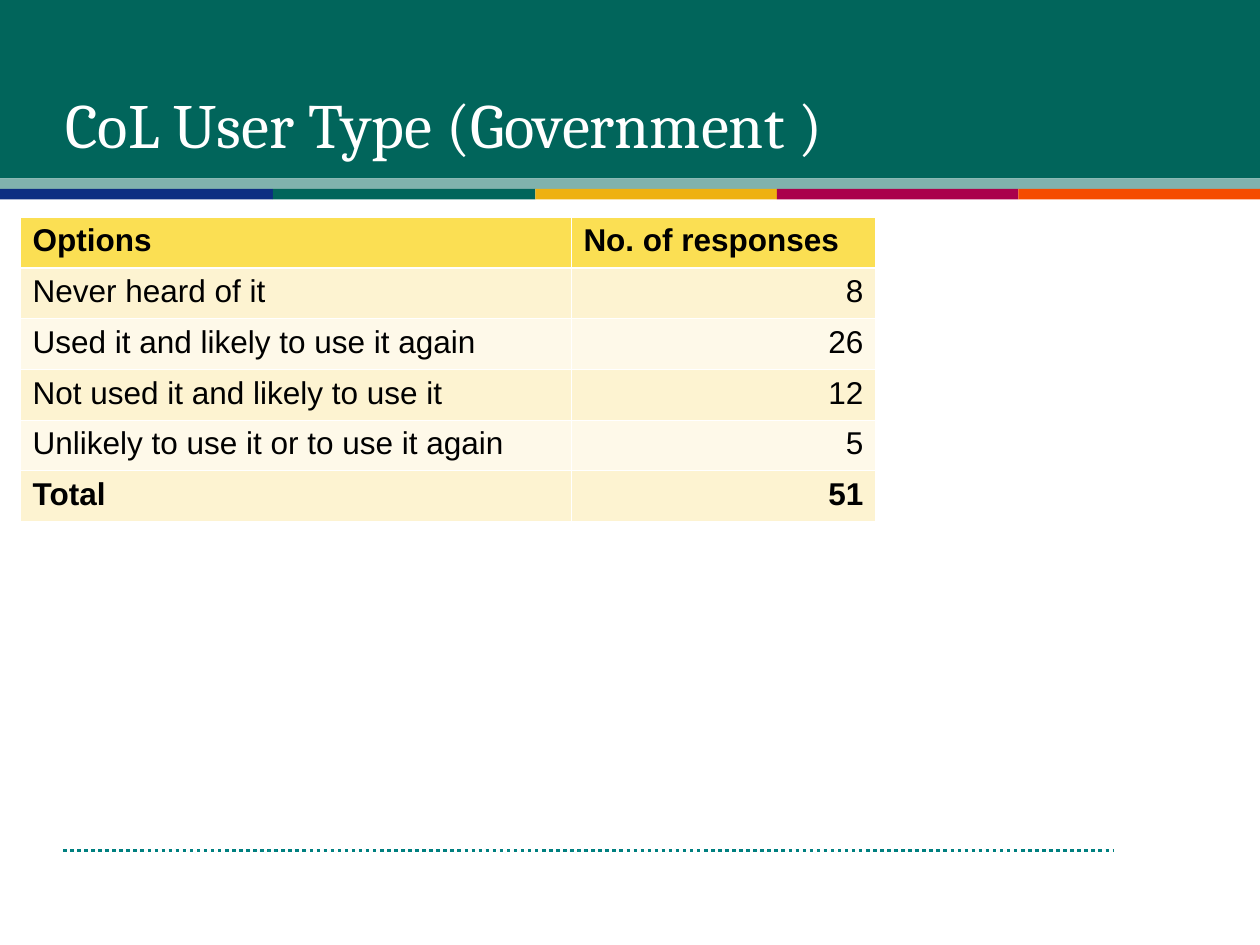
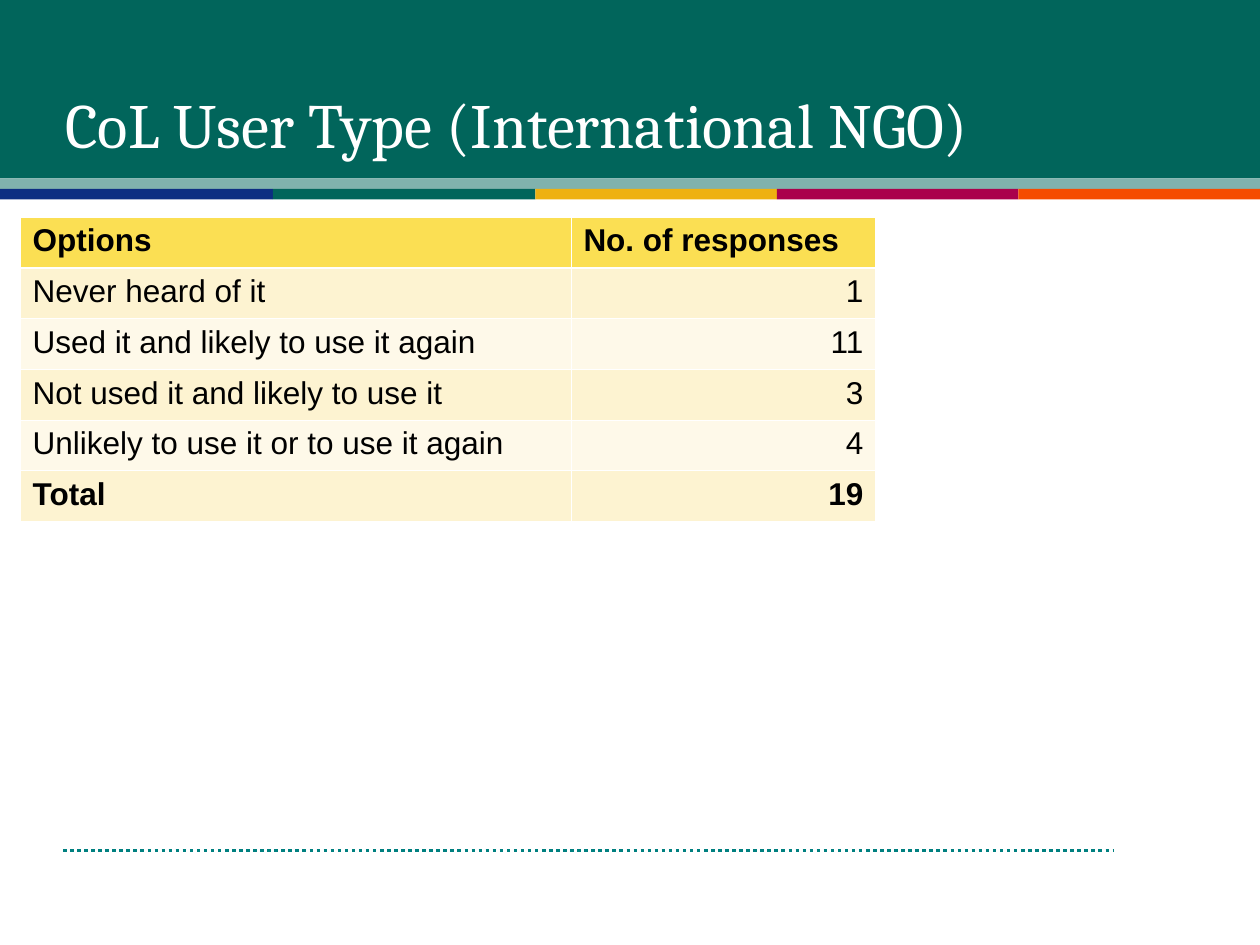
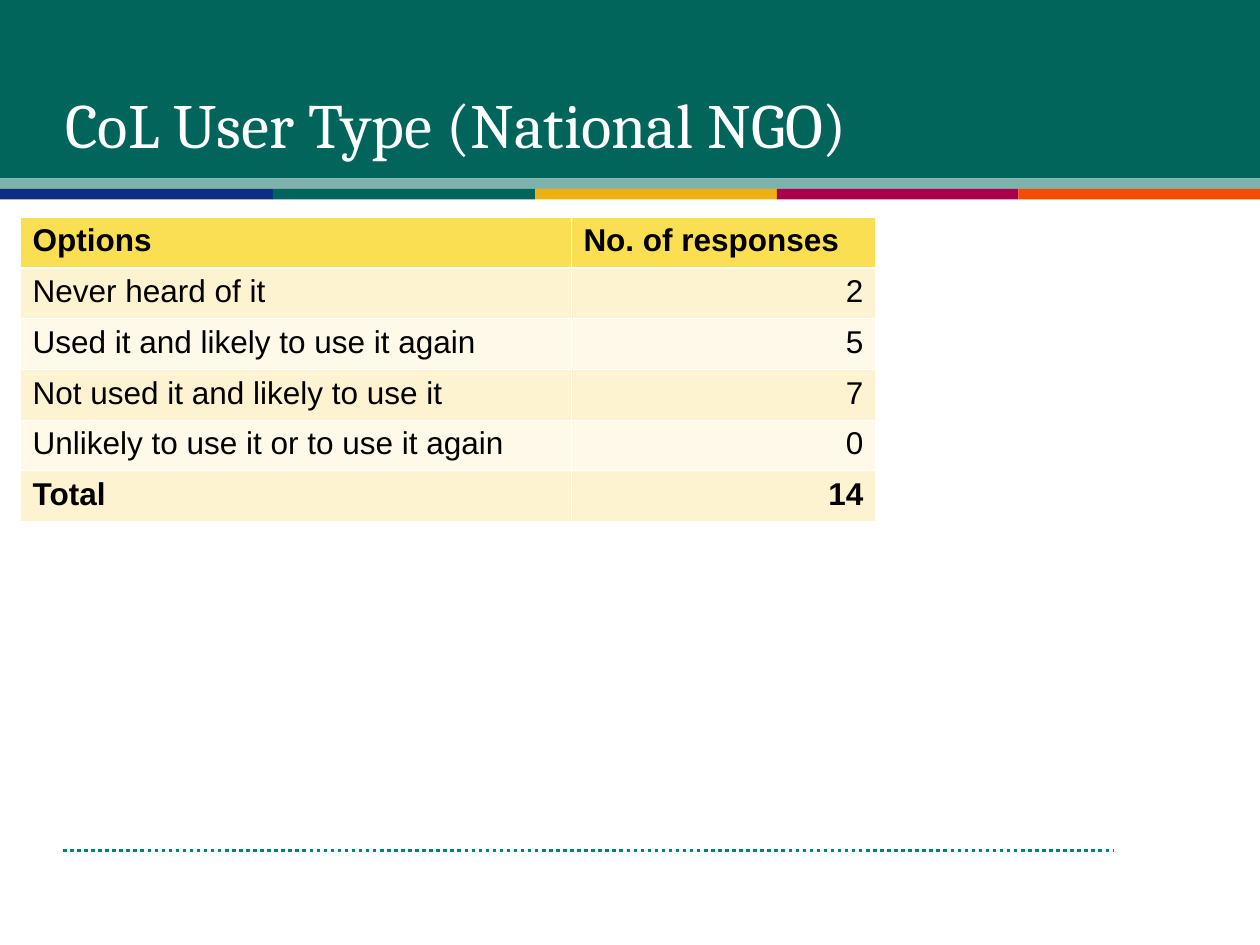
from dataclasses import dataclass

from lxml import etree
from pptx import Presentation
from pptx.dml.color import RGBColor
from pptx.enum.dml import MSO_LINE
from pptx.enum.shapes import MSO_CONNECTOR, MSO_SHAPE
from pptx.enum.text import MSO_ANCHOR, MSO_AUTO_SIZE, PP_ALIGN
from pptx.oxml.ns import qn
from pptx.util import Pt

STRAIGHT = MSO_CONNECTOR.STRAIGHT
RECTANGLE = MSO_SHAPE.RECTANGLE
DOTTED = MSO_LINE.ROUND_DOT
LEFT, RIGHT = PP_ALIGN.LEFT, PP_ALIGN.RIGHT
MIDDLE = MSO_ANCHOR.MIDDLE
NO_AUTOFIT = MSO_AUTO_SIZE.NONE
TITLE_ONLY = 5


@dataclass(frozen=True)
class Theme:
    green: str = "01655B"
    pale_green: str = "80B2AD"
    navy: str = "0C2E82"
    gold: str = "EEB111"
    crimson: str = "AA014C"
    orange: str = "F54C00"
    teal: str = "008080"
    white: str = "FFFFFF"
    black: str = "000000"
    header_fill: str = "FBDF53"
    row_fills: tuple = ("FDF3D1", "FEF9E9")
    title_font: str = "Cambria"
    body_font: str = "Arial"
    title_size: float = 36
    body_size: float = 18
    thin_border: float = 0.45
    header_border: float = 1.47


THEME = Theme()

# Boxes are left, top, width, height in points
PAGE_SIZE = (720, 540)
BANNER_BOX = (0, 0, 720, 114)
TITLE_BOX = (30, 24, 648, 93)
TABLE_BOX = (11.5, 124, 489, 174)
FOOTER_BOX = (36, 486, 600, 0)

HEADINGS = ("Options", "No. of responses")
OPTIONS = (
    "Never heard of it",
    "Used it and likely to use it again",
    "Not used it and likely to use it",
    "Unlikely to use it or to use it again",
)
RESPONSES = {
    "CoL User Type (Government )": (8, 26, 12, 5),
    "CoL User Type (International NGO)": (1, 11, 3, 4),
    "CoL User Type (National NGO)": (2, 5, 7, 0),
}


def color(value):
    return RGBColor.from_string(value)


def style(paragraph, font, size, ink, bold=False, align=LEFT):
    paragraph.alignment = align
    paragraph.font.name = font
    paragraph.font.size = Pt(size)
    paragraph.font.bold = bold
    paragraph.font.color.rgb = color(ink)


def add_band(page, left, top, width, height, fill):
    band = page.shapes.add_shape(RECTANGLE, Pt(left), Pt(top), Pt(width), Pt(height))
    band.shadow.inherit = False
    band.fill.solid()
    band.fill.fore_color.rgb = color(fill)
    band.line.fill.background()
    return band


def add_banner(page, box):
    """Green banner above a pale stripe and a five-colour strip."""
    left, top, width, height = box
    stripe = 6
    strip_top = top + height - stripe
    bands = [
        add_band(page, left, top, width, height - 2 * stripe, THEME.green),
        add_band(page, left, strip_top - stripe, width, stripe, THEME.pale_green),
    ]
    strip = ((156, THEME.navy), (150, THEME.green), (138, THEME.gold),
             (138, THEME.crimson), (138, THEME.orange))
    for segment, fill in strip:
        bands.append(add_band(page, left, strip_top, segment, stripe, fill))
        left += segment
    return bands


def add_footer_rule(page, box):
    left, top, width, height = box
    rule = page.shapes.add_connector(
        STRAIGHT, Pt(left), Pt(top), Pt(left + width), Pt(top + height))
    rule.line.color.rgb = color(THEME.teal)
    rule.line.width = Pt(2)
    rule.line.dash_style = DOTTED
    properties = rule.element.find(qn("p:spPr"))
    etree.SubElement(properties, qn("a:effectLst"))
    return rule


def decorate_layout(layout, page):
    """Draw the shared parts on a page, then move them to its layout."""
    parts = [add_footer_rule(page, FOOTER_BOX), *add_banner(page, BANNER_BOX)]
    for number, part in enumerate(parts):
        part.element.xpath(".//p:cNvPr")[0].set("id", str(100 + number))
        layout.shapes.element.insert(2 + number, part.element)


def set_title(page, box, text):
    title = page.shapes.title
    title.left, title.top, title.width, title.height = map(Pt, box)
    frame = title.text_frame
    frame.text = text
    frame.word_wrap = True
    frame.auto_size = NO_AUTOFIT
    frame.vertical_anchor = MIDDLE
    style(frame.paragraphs[0], THEME.title_font, THEME.title_size, THEME.white)


def set_borders(cell, top, bottom):
    properties = cell._tc.get_or_add_tcPr()
    thin = THEME.thin_border
    for side, width in (("L", thin), ("R", thin), ("T", top), ("B", bottom)):
        line = etree.SubElement(properties, qn(f"a:ln{side}"), w=str(Pt(width)))
        fill = etree.SubElement(line, qn("a:solidFill"))
        etree.SubElement(fill, qn("a:srgbClr"), val=THEME.white)


def add_response_table(page, box, counts):
    left, top, width, height = box
    rows = [HEADINGS, *zip(OPTIONS, counts), ("Total", sum(counts))]
    table = page.shapes.add_table(
        len(rows), len(HEADINGS), Pt(left), Pt(top), Pt(width), Pt(height)).table
    table.first_row = table.horz_banding = False
    option_width = 314.75
    for column, size in zip(table.columns, (option_width, width - option_width)):
        column.width = Pt(size)

    for r, values in enumerate(rows):
        table.rows[r].height = Pt(height / len(rows))
        is_header = r == 0
        is_bold = is_header or r == len(rows) - 1
        fill = THEME.header_fill if is_header else THEME.row_fills[(r - 1) % 2]
        for c, value in enumerate(values):
            cell = table.cell(r, c)
            cell.text = str(value)
            align = RIGHT if c and not is_header else LEFT
            style(cell.text_frame.paragraphs[0], THEME.body_font, THEME.body_size,
                  THEME.black, is_bold, align)
            # Borders come before the fill in the cell properties
            set_borders(cell,
                        THEME.header_border if r == 1 else THEME.thin_border,
                        THEME.header_border if is_header else THEME.thin_border)
            cell.fill.solid()
            cell.fill.fore_color.rgb = color(fill)


def add_response_page(deck, layout, title, counts):
    page = deck.slides.add_slide(layout)
    set_title(page, TITLE_BOX, title)
    add_response_table(page, TABLE_BOX, counts)
    return page


def main():
    deck = Presentation()
    deck.slide_width, deck.slide_height = map(Pt, PAGE_SIZE)
    layout = deck.slide_layouts[TITLE_ONLY]
    pages = [add_response_page(deck, layout, title, counts)
             for title, counts in RESPONSES.items()]
    decorate_layout(layout, pages[0])
    deck.save("out.pptx")


if __name__ == "__main__":
    main()
